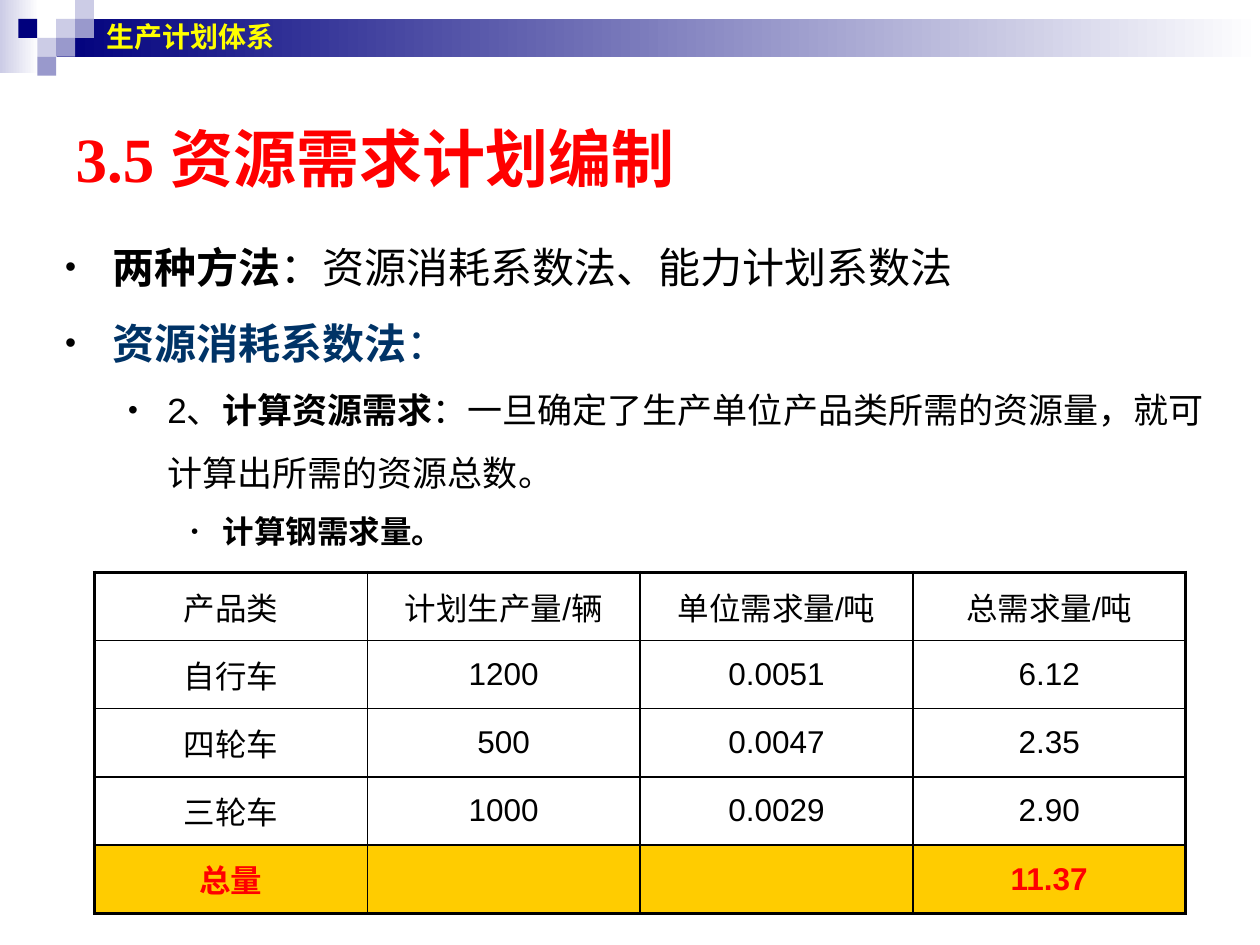
"""Builds the slide on resource requirement planning."""
from dataclasses import dataclass

from lxml.etree import SubElement
from pptx import Presentation
from pptx.dml.color import RGBColor
from pptx.enum.shapes import MSO_SHAPE
from pptx.enum.text import MSO_ANCHOR, MSO_AUTO_SIZE, PP_ALIGN
from pptx.oxml.ns import qn
from pptx.util import Pt

NAVY = RGBColor(0x00, 0x00, 0x7D)
LILAC = RGBColor(0xCC, 0xCC, 0xE6)
VIOLET = RGBColor(0x99, 0x99, 0xCC)
WHITE = RGBColor(0xFF, 0xFF, 0xFF)
BLACK = RGBColor(0x00, 0x00, 0x00)
RED = RGBColor(0xFF, 0x00, 0x00)
BLUE = RGBColor(0x00, 0x33, 0x66)
YELLOW = RGBColor(0xFF, 0xFF, 0x00)
GOLD = RGBColor(0xFF, 0xCC, 0x00)

TILE = 10.8
THIN, THICK = 1, 2.25


@dataclass(frozen=True)
class Area:
    left: float
    top: float
    width: float
    height: float

    def lengths(self) -> tuple:
        return Pt(self.left), Pt(self.top), Pt(self.width), Pt(self.height)


@dataclass(frozen=True)
class Span:
    text: str
    bold: bool = False
    color: RGBColor = BLACK


@dataclass(frozen=True)
class Level:
    size: float
    margin: float
    hanging: float
    bullet_percent: int


@dataclass(frozen=True)
class Item:
    level: int
    spans: tuple


LEVELS = (Level(24, 27, 27, 75), Level(20, 58.5, 22.5, 80), Level(18, 90, 18, 65))

ITEMS = (
    Item(0, (Span("两种方法", True), Span("：资源消耗系数法、能力计划系数法"))),
    Item(0, (Span("资源消耗系数法", True, BLUE), Span("：", color=BLUE))),
    Item(1, (
        Span("2、"),
        Span("计算资源需求", True),
        Span("：一旦确定了生产单位产品类所需的资源量，就可计算出所需的资源总数。"),
    )),
    Item(2, (Span("计算钢需求量。", True),)),
)

TILES = (
    (2, 1, LILAC), (3, 0, LILAC), (3, 1, VIOLET), (1, 2, LILAC),
    (0, 1, NAVY), (2, 2, VIOLET), (1, 3, VIOLET),
)

ROWS = (
    ("产品类", "计划生产量/辆", "单位需求量/吨", "总需求量/吨"),
    ("自行车", "1200", "0.0051", "6.12"),
    ("四轮车", "500", "0.0047", "2.35"),
    ("三轮车", "1000", "0.0029", "2.90"),
    ("总量", "", "", "11.37"),
)


def add_span(para, span: Span, size: float, font: str = "Arial") -> None:
    run = para.add_run()
    run.text = span.text
    run.font.name = font
    run.font.size = Pt(size)
    run.font.bold = span.bold
    run.font.color.rgb = span.color


def add_block(slide, area: Area, start: RGBColor, end: RGBColor | None = None) -> None:
    block = slide.shapes.add_shape(MSO_SHAPE.RECTANGLE, *area.lengths())
    block.shadow.inherit = False
    block.line.fill.background()
    if end is None:
        block.fill.solid()
        block.fill.fore_color.rgb = start
        return
    block.fill.gradient()
    block.fill.gradient_angle = 0
    for stop, color in zip(block.fill.gradient_stops, (start, end)):
        stop.color.rgb = color


def add_header(slide) -> None:
    add_block(slide, Area(0, 0, 22.3, 41.8), LILAC, WHITE)
    add_block(slide, Area(32.4, TILE, 687.6, 21.6), NAVY, WHITE)
    for column, row, color in TILES:
        add_block(slide, Area(10.5 + column * TILE, row * TILE, TILE, TILE), color)
    box = slide.shapes.add_textbox(*Area(54, 0, 635.8, 41.8).lengths())
    box.text_frame.word_wrap = True
    box.text_frame.vertical_anchor = MSO_ANCHOR.MIDDLE
    add_span(box.text_frame.paragraphs[0], Span("生产计划体系", True, YELLOW), 16)


def place(shape, area: Area, anchor: MSO_ANCHOR):
    shape.left, shape.top, shape.width, shape.height = area.lengths()
    frame = shape.text_frame
    frame.word_wrap = True
    frame.auto_size = MSO_AUTO_SIZE.NONE
    frame.vertical_anchor = anchor
    return frame


def add_bullet(para, level: Level) -> None:
    properties = para._p.get_or_add_pPr()
    properties.set("marL", str(Pt(level.margin)))
    properties.set("indent", str(-Pt(level.hanging)))
    color = SubElement(properties, qn("a:buClr"))
    SubElement(color, qn("a:srgbClr"), val=str(BLACK))
    SubElement(properties, qn("a:buSzPct"), val=str(level.bullet_percent * 1000))
    SubElement(properties, qn("a:buFont"), typeface="Arial")
    SubElement(properties, qn("a:buChar"), char="•")


def fill_body(frame) -> None:
    for index, item in enumerate(ITEMS):
        para = frame.add_paragraph() if index else frame.paragraphs[0]
        level = LEVELS[item.level]
        para.level = item.level
        add_bullet(para, level)
        para.line_spacing = 1.5
        para.space_before = Pt(0)
        for span in item.spans:
            add_span(para, span, level.size)


def add_borders(cell, widths: dict[str, float]) -> None:
    properties = cell._tc.get_or_add_tcPr()
    for side, width in widths.items():
        line = SubElement(properties, qn(f"a:ln{side}"), w=str(Pt(width)))
        fill = SubElement(line, qn("a:solidFill"))
        SubElement(fill, qn("a:srgbClr"), val=str(BLACK))


def add_demand_table(slide, area: Area) -> None:
    last_row, last_column = len(ROWS) - 1, len(ROWS[0]) - 1
    table = slide.shapes.add_table(len(ROWS), len(ROWS[0]), *area.lengths()).table
    table.first_row = table.horz_banding = False
    for row, texts in enumerate(ROWS):
        total = row == last_row
        for column, text in enumerate(texts):
            cell = table.cell(row, column)
            cell.vertical_anchor = MSO_ANCHOR.MIDDLE
            add_borders(cell, {
                "L": THIN if column else THICK,
                "R": THICK if column == last_column else THIN,
                "T": THIN if row else THICK,
                "B": THICK if total else THIN,
            })
            if total:
                cell.fill.solid()
                cell.fill.fore_color.rgb = GOLD
            else:
                cell.fill.background()
            if text:
                para = cell.text_frame.paragraphs[0]
                para.alignment = PP_ALIGN.CENTER
                add_span(para, Span(text, total, RED if total else BLACK), 18)


def main() -> None:
    deck = Presentation()
    deck.slide_width, deck.slide_height = Pt(720), Pt(540)
    page = deck.slides.add_slide(deck.slide_layouts[1])
    add_header(page)
    title = place(page.shapes.title, Area(36, 36, 648, 108), MSO_ANCHOR.MIDDLE)
    title.paragraphs[0].alignment = PP_ALIGN.LEFT
    add_span(title.paragraphs[0], Span("3.5 资源需求计划编制", True, RED), 36, "Times New Roman")
    fill_body(place(page.placeholders[1], Area(30, 120, 672, 402), MSO_ANCHOR.TOP))
    add_demand_table(page, Area(54, 327, 623.6, 195))
    deck.save("out.pptx")


if __name__ == "__main__":
    main()
